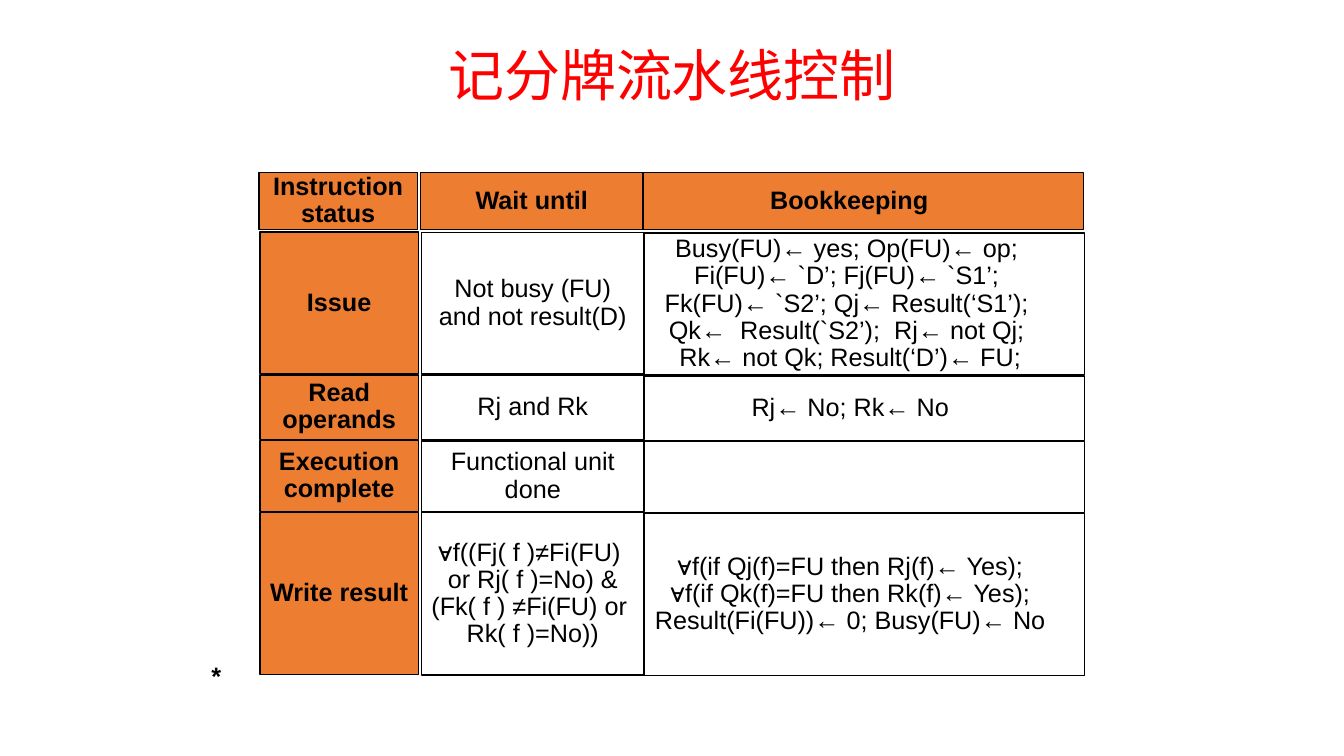
"""Build the slide on scoreboard pipeline control."""
from lxml.etree import SubElement
from pptx import Presentation
from pptx.dml.color import RGBColor
from pptx.enum.shapes import MSO_SHAPE as Shape
from pptx.enum.text import MSO_ANCHOR as Anchor, MSO_AUTO_SIZE as AutoSize, PP_ALIGN as Align
from pptx.oxml.ns import qn
from pptx.util import Pt

RED = RGBColor(0xFF, 0x00, 0x00)
ORANGE = RGBColor(0xED, 0x7D, 0x31)
WHITE = RGBColor(0xFF, 0xFF, 0xFF)
BLACK = RGBColor(0x00, 0x00, 0x00)
TITLE_FONT = "Noto Sans CJK SC"


def format_runs(paragraph, font_name, size, color, bold=False):
    for run in paragraph.runs:
        run.font.name = font_name
        run.font.size = Pt(size)
        run.font.color.rgb = color
        run.font.bold = bold


prs = Presentation()
prs.slide_width, prs.slide_height = Pt(960), Pt(540)
slide = prs.slides.add_slide(prs.slide_layouts[5])

title = slide.shapes.title
title.left, title.top, title.width, title.height = Pt(66), Pt(28.8), Pt(828), Pt(54)
title.text_frame.text = "记分牌流水线控制"
title.text_frame.vertical_anchor = Anchor.MIDDLE
heading = title.text_frame.paragraphs[0]
heading.alignment = Align.CENTER
heading.line_spacing = 0.9
format_runs(heading, TITLE_FONT, 40, RED)
SubElement(heading.runs[0].font._element, qn("a:ea"), typeface=TITLE_FONT)

row_bounds = [(123.1, 41), (165.8, 101), (267.8, 46), (314.6, 50.6), (365.9, 116)]
columns = [
    (185.8, 0, 113, [
        "Instruction status", "Issue", "Read operands", "Execution complete", "Write result",
    ]),
    (439.9, 0.7, 334.8, [
        "Bookkeeping",
        "Busy(FU)← yes; Op(FU)← op; \nFi(FU)← `D’; Fj(FU)← `S1’; \n"
        "Fk(FU)← `S2’; Qj← Result(‘S1’); \nQk←  Result(`S2’);  Rj← not Qj; \n"
        "Rk← not Qk; Result(‘D’)← FU;",
        "Rj← No; Rk← No",
        "",
        "∀f(if Qj(f)=FU then Rj(f)← Yes);\n∀f(if Qk(f)=FU then Rk(f)← Yes); "
        "Result(Fi(FU))← 0; Busy(FU)← No",
    ]),
    (301, 0.3, 159.1, [
        "Wait until",
        "Not busy (FU) and not result(D)",
        "Rj and Rk",
        "Functional unit done",
        "∀f((Fj( f )≠Fi(FU) \nor Rj( f )=No) & (Fk( f ) ≠Fi(FU) or \nRk( f )=No))",
    ]),
]

for column, (left, drop, width, entries) in enumerate(columns):
    for row, ((top, height), entry) in enumerate(zip(row_bounds, entries)):
        is_label = row == 0 or column == 0
        if row == 0:
            position = Pt(left - 0.7), Pt(top)
        else:
            position = Pt(left), Pt(top + drop)
        cell = slide.shapes.add_shape(Shape.RECTANGLE, *position, Pt(width), Pt(height))
        cell.shadow.inherit = False
        cell.fill.solid()
        cell.fill.fore_color.rgb = ORANGE if is_label else WHITE
        cell.line.color.rgb = BLACK
        cell.line.width = Pt(1)
        if entry:
            cell.text_frame.vertical_anchor = Anchor.MIDDLE
            content = cell.text_frame.paragraphs[0]
            content.text = entry
            content.alignment = Align.CENTER
            content.line_spacing = 0.9
            format_runs(content, "Arial", 18, BLACK, is_label)

footnote = slide.shapes.add_textbox(Pt(144), Pt(468), Pt(534), Pt(29))
footnote.text_frame.word_wrap = True
footnote.text_frame.auto_size = AutoSize.SHAPE_TO_FIT_TEXT
asterisk = footnote.text_frame.paragraphs[0]
asterisk.text = "*"
asterisk.space_before = Pt(9)
format_runs(asterisk, "Arial", 18, BLACK, True)

prs.save("out.pptx")
